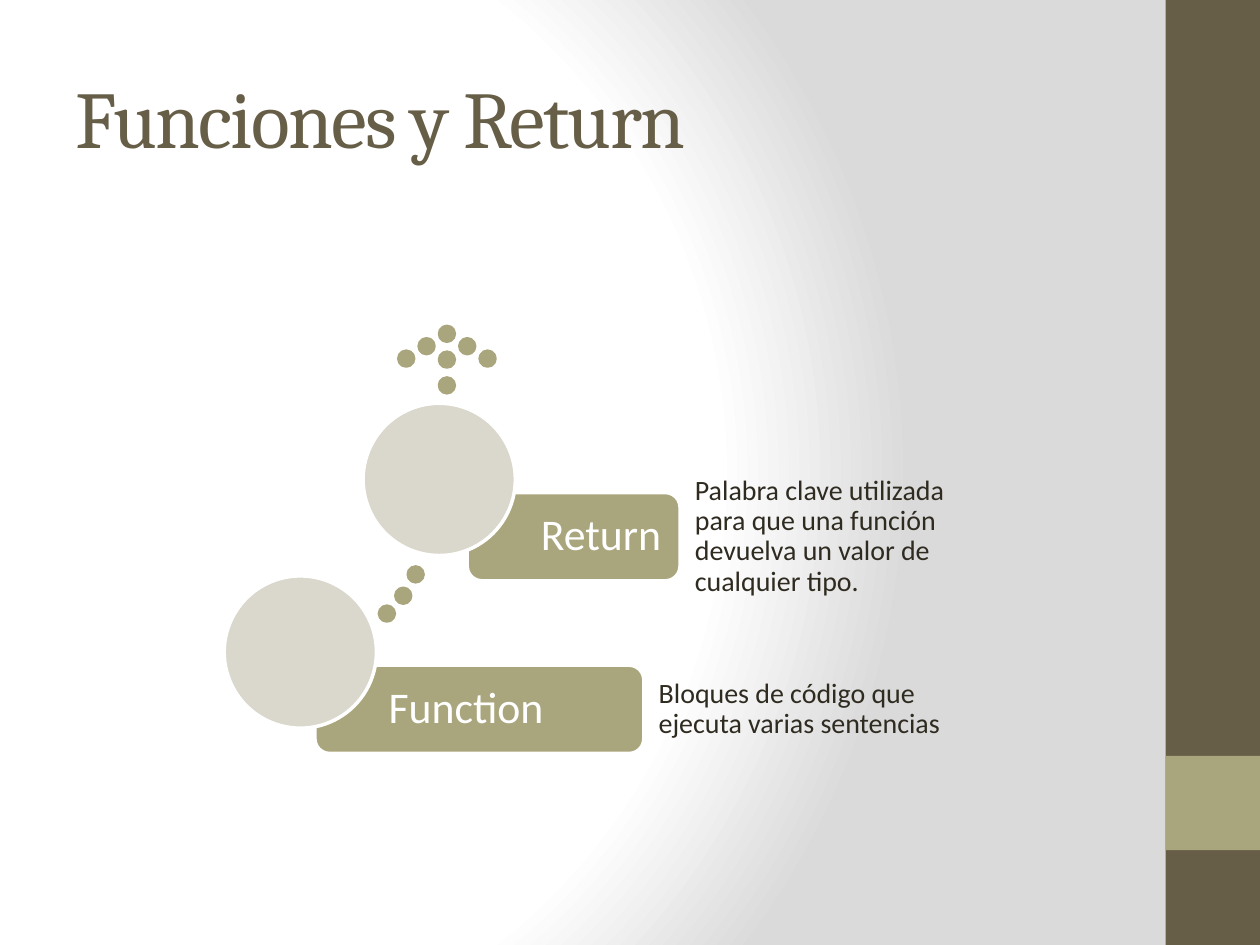
from pptx import Presentation
from pptx.dml.color import RGBColor
from pptx.enum.shapes import MSO_SHAPE
from pptx.enum.text import MSO_ANCHOR, PP_ALIGN
from pptx.oxml import parse_xml
from pptx.oxml.ns import nsdecls
from pptx.util import Cm, Pt

RECT, ROUND, OVAL = MSO_SHAPE.RECTANGLE, MSO_SHAPE.ROUNDED_RECTANGLE, MSO_SHAPE.OVAL
MIDDLE, LEFT = MSO_ANCHOR.MIDDLE, PP_ALIGN.LEFT
BROWN, OLIVE, SAND, INK, WHITE = "675E47", "A9A57C", "DAD8CC", "2F2B20", "FFFFFF"
STOPS = [(0, WHITE), (75, WHITE), (100, "DADADA")]

TITLE = {"name": "Cambria", "size": Pt(46), "color": BROWN}
LABEL = {"name": "Calibri", "size": Pt(25), "color": WHITE}
BODY = {"name": "Calibri", "size": Pt(16), "color": INK}

STEPS = [
    {"label": "Function", "text": "Bloques de código que ejecuta varias sentencias",
     "left": 6.35, "top": 13.41, "width": 6.63, "text_width": 6.48, "circle": 4.52},
    {"label": "Return",
     "text": "Palabra clave utilizada para que una función devuelva un valor de cualquier tipo.",
     "left": 9.42, "top": 9.93, "width": 4.29, "text_width": 6.4, "circle": 7.32},
]
TRAIL = [(8.23, 11.43), (7.98, 11.86), (7.65, 12.22)]
TIP_X, TIP_Y = 8.86, 6.58
HEAD = [(TIP_X + 0.41 * i, TIP_Y + 0.25 * abs(i)) for i in range(-2, 3)]
STEM = [(TIP_X, TIP_Y + 0.52 * i) for i in (1, 2)]


def rgb(value):
    return RGBColor.from_string(value)


class Deck:
    def __init__(self, width, height):
        self.prs = Presentation()
        self.prs.slide_width, self.prs.slide_height = Cm(width), Cm(height)
        self.s = self.prs.slides.add_slide(self.prs.slide_layouts[6])

    def background(self, stops):
        gs = "".join(f'<a:gs pos="{pos * 1000}"><a:srgbClr val="{color}"/></a:gs>'
                     for pos, color in stops)
        self.s.element.cSld.insert(0, parse_xml(
            f'<p:bg {nsdecls("p", "a")}><p:bgPr><a:gradFill rotWithShape="1">'
            f'<a:gsLst>{gs}</a:gsLst><a:path path="circle">'
            '<a:fillToRect l="20000" t="50000" r="100000" b="50000"/></a:path>'
            '</a:gradFill><a:effectLst/></p:bgPr></p:bg>'))

    def shape(self, kind, left, top, width, height, fill, line=None):
        sp = self.s.shapes.add_shape(kind, Cm(left), Cm(top), Cm(width), Cm(height))
        sp.shadow.inherit = False
        sp.fill.solid()
        sp.fill.fore_color.rgb = rgb(fill)
        if line:
            sp.line.color.rgb = rgb(line)
            sp.line.width = Pt(2)
        else:
            sp.line.fill.background()
        return sp

    def set_text(self, sp, text, style, insets, spacing=1.0, tracking=None):
        tf = sp.text_frame
        tf.word_wrap = True
        tf.vertical_anchor = MIDDLE
        for side, value in zip(("left", "top", "right", "bottom"), insets):
            setattr(tf, f"margin_{side}", Cm(value))
        p = tf.paragraphs[0]
        p.alignment, p.line_spacing = LEFT, spacing
        r = p.add_run()
        r.text = text
        for key, value in style.items():
            if key == "color":
                r.font.color.rgb = rgb(value)
            else:
                setattr(r.font, key, value)
        if tracking:
            r.font._element.set("spc", str(tracking))

    def text(self, left, top, width, height, text, style, insets, **options):
        sp = self.s.shapes.add_textbox(Cm(left), Cm(top), Cm(width), Cm(height))
        self.set_text(sp, text, style, insets, **options)

    def dots(self, points):
        for left, top in points:
            self.shape(OVAL, left, top, 0.3, 0.3, OLIVE, OLIVE)

    def step(self, label, text, left, top, width, text_width, circle):
        height = 1.78
        pill = self.shape(ROUND, left, top, width, height, OLIVE, WHITE)
        self.set_text(pill, label, LABEL, (1.4, 0.25, 0.25, 0.25), spacing=0.9)
        self.text(left + width, top, text_width, height, text, BODY,
                  (0.3, 0.1, 0.1, 0.1), spacing=0.9)
        self.shape(OVAL, circle, top - 1.8, 3.07, 3.07, SAND, WHITE)


def main():
    deck = Deck(25.4, 19.05)
    deck.background(STOPS)
    deck.shape(RECT, 23.5, 0, 1.9, 19.05, BROWN)
    deck.shape(RECT, 23.5, 15.24, 1.9, 1.9, OLIVE)
    deck.text(1.27, 0.76, 21.16, 3.18, "Funciones y Return", TITLE,
              (0.25, 0.13, 0.25, 0.13), tracking=-100)
    deck.dots(TRAIL + HEAD + STEM)
    for step in STEPS:
        deck.step(**step)
    deck.prs.save("out.pptx")


if __name__ == "__main__":
    main()
